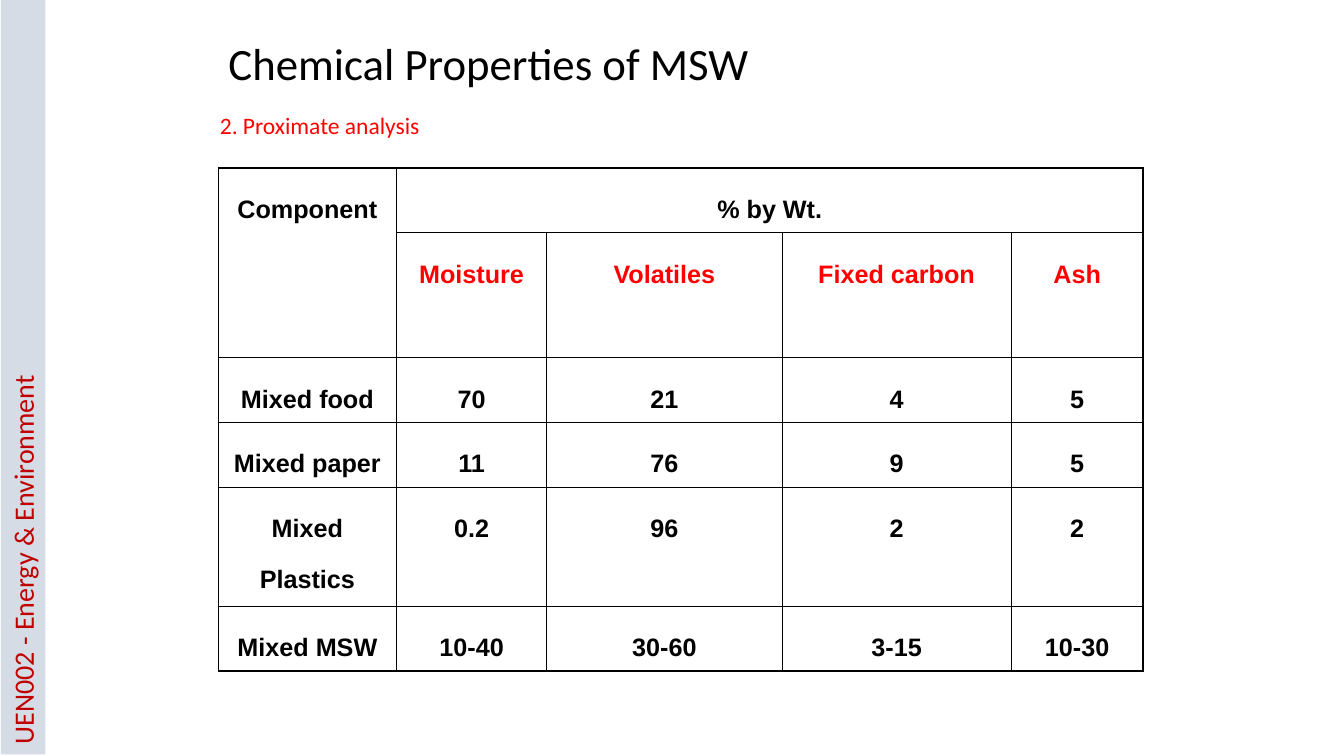
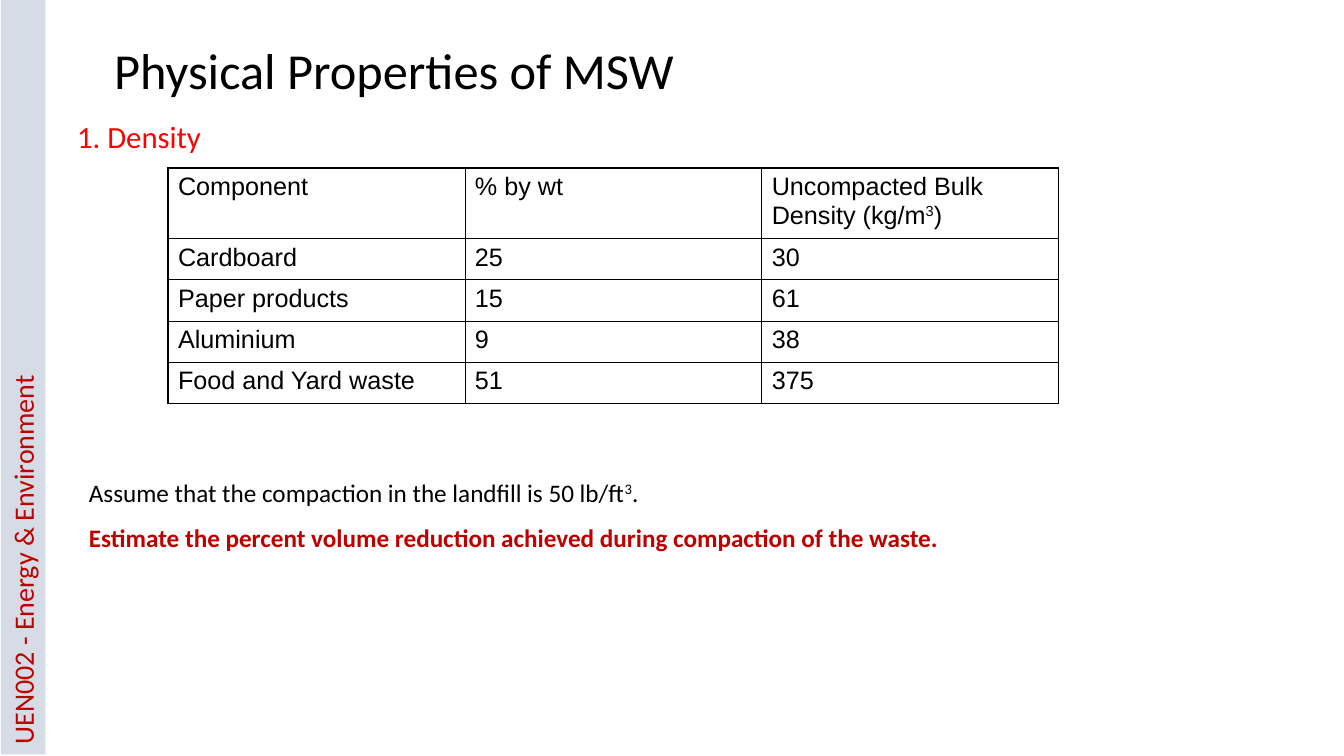
import lxml.etree
import pptx
import pptx.dml.color
import pptx.enum.shapes
import pptx.enum.text
import pptx.oxml.ns
import pptx.util

RGB = pptx.dml.color.RGBColor
ALIGN = pptx.enum.text.PP_ALIGN
ANCHOR = pptx.enum.text.MSO_ANCHOR

BLACK = RGB(0x00, 0x00, 0x00)
RED = RGB(0xFF, 0x00, 0x00)
DARK_RED = RGB(0xC0, 0x00, 0x00)
BAND_BLUE = RGB(0xD6, 0xDC, 0xE5)

WIDTH, HEIGHT = 13.34, 7.5
COLS, ROWS = 80, 45  # grid the slide is divided into
OUTER, INNER = 1.08, 0.45  # table rules, points


def write(p, text, size=18, font="Calibri", color=BLACK, bold=False,
          align=ALIGN.LEFT, line=None, before=0):
    """Fill a paragraph; text between a pair of ^ marks is superscript."""
    p.alignment = align
    p.space_before = pptx.util.Pt(before)
    if line:
        p.line_spacing = line
    for i, part in enumerate(text.split("^")):
        r = p.add_run()
        r.text = part
        r.font.size = pptx.util.Pt(size)
        r.font.name = font
        r.font.bold = bold
        r.font.color.rgb = color
        if i % 2:
            r.font._element.set("baseline", "30000")


def rule(cell, side, width):
    """Draw one border of a table cell; side is L, R, T or B."""
    qn = pptx.oxml.ns.qn
    ln = lxml.etree.SubElement(cell._tc.get_or_add_tcPr(), qn(f"a:ln{side}"),
                               w=str(pptx.util.Pt(width)))
    fill = lxml.etree.SubElement(ln, qn("a:solidFill"))
    lxml.etree.SubElement(fill, qn("a:srgbClr"), val=str(BLACK))


class Deck:
    """Holds the shared style and the current slide."""

    def __init__(self):
        self.prs = pptx.Presentation()
        self.prs.slide_width = pptx.util.Inches(WIDTH)
        self.prs.slide_height = pptx.util.Inches(HEIGHT)
        self.slide = None

    def x(self, cols):
        return pptx.util.Inches(cols * WIDTH / COLS)

    def y(self, rows):
        return pptx.util.Inches(rows * HEIGHT / ROWS)

    def box(self, left, top, width, height):
        return self.x(left), self.y(top), self.x(width), self.y(height)

    def new_slide(self, title, at, size):
        self.slide = self.prs.slides.add_slide(self.prs.slide_layouts[5])
        sp = self.slide.shapes.title
        sp.left, sp.top, sp.width, sp.height = self.box(*at)
        tf = sp.text_frame
        tf.auto_size = pptx.enum.text.MSO_AUTO_SIZE.NONE
        tf.vertical_anchor = ANCHOR.MIDDLE
        write(tf.paragraphs[0], title, size=size, line=0.9)
        self.band("UEN002 - Energy & Environment")

    def band(self, text, center=(1.38, 22.4), thick=2.64):
        """Course name running up the left edge."""
        cx, cy = center
        sp = self.slide.shapes.add_shape(
            pptx.enum.shapes.MSO_SHAPE.RECTANGLE,
            *self.box(cx - ROWS / 2, cy - thick / 2, ROWS, thick))
        sp.rotation = 270
        sp.shadow.inherit = False
        sp.fill.solid()
        sp.fill.fore_color.rgb = BAND_BLUE
        sp.line.fill.background()
        tf = sp.text_frame
        tf.word_wrap = True
        tf.vertical_anchor = ANCHOR.TOP
        write(tf.paragraphs[0], text, size=20, color=DARK_RED)

    def text(self, at, *lines, **style):
        """Each line is a pair of its text and its own format."""
        tf = self.slide.shapes.add_textbox(*self.box(*at)).text_frame
        tf.word_wrap = True
        for i, (text, own) in enumerate(lines):
            p = tf.add_paragraph() if i else tf.paragraphs[0]
            write(p, text, **{**style, **own})

    def table(self, at, cols, rows, data, merges=(), red_row=None, **style):
        """None in data marks a cell covered by a merge."""
        left, top = at
        table = self.slide.shapes.add_table(
            len(rows), len(cols),
            *self.box(left, top, sum(cols), sum(rows))).table
        table.first_row = table.horz_banding = False
        for column, width in zip(table.columns, cols):
            column.width = self.x(width)
        for row, height in zip(table.rows, rows):
            row.height = self.y(height)
        for first, last in merges:
            table.cell(*first).merge(table.cell(*last))

        for r, values in enumerate(data):
            for c, text in enumerate(values):
                if text is None:
                    continue
                cell = table.cell(r, c)
                edges = {"L": c == 0,
                         "R": c + cell.span_width == len(cols),
                         "T": r == 0,
                         "B": r + cell.span_height == len(rows)}
                for side, outer in edges.items():
                    rule(cell, side, OUTER if outer else INNER)
                cell.fill.background()
                write(cell.text_frame.paragraphs[0], text, font="Arial",
                      color=RED if r == red_row else BLACK, before=4.5,
                      **style)


def main():
    deck = Deck()

    # Proximate analysis
    deck.new_slide("Chemical Properties of MSW", (13, 1.8, 54, 4.2), 32)
    deck.text((12.5, 5.5, 26.5, 3), ("2. Proximate analysis", {}),
              size=16.8, color=RED, line=1.5, before=10, align=ALIGN.JUSTIFY)
    deck.table(
        (13, 10),
        cols=[10.6, 8.95, 14, 13.65, 7.85],
        rows=[3.85, 7.45, 3.85, 3.85, 7.1, 3.85],
        data=[
            ["Component", "% by Wt.", None, None, None],
            [None, "Moisture", "Volatiles", "Fixed carbon", "Ash"],
            ["Mixed food", "70", "21", "4", "5"],
            ["Mixed paper", "11", "76", "9", "5"],
            ["Mixed Plastics", "0.2", "96", "2", "2"],
            ["Mixed MSW", "10-40", "30-60", "3-15", "10-30"],
        ],
        merges=[((0, 0), (1, 0)), ((0, 1), (0, 4))],
        red_row=1, bold=True, align=ALIGN.CENTER, line=1.8)

    # Density
    deck.new_slide("Physical Properties of MSW", (6.2, 1.55, 63.6, 5.6), 36)
    deck.text((4, 7.15, 68, 18), ("1. Density", {}),
              size=22, color=RED, line=0.8, before=10, align=ALIGN.JUSTIFY)
    deck.table(
        (10, 10),
        cols=[17.67] * 3,
        rows=[4.2] + [2.45] * 4,
        data=[
            ["Component", "% by wt", "Uncompacted Bulk Density (kg/m^3^)"],
            ["Cardboard", "25", "30"],
            ["Paper products", "15", "61"],
            ["Aluminium", "9", "38"],
            ["Food and Yard waste", "51", "375"],
        ])
    deck.text(
        (4.7, 27.2, 63.6, 6),
        ("Assume that the compaction in the landfill is 50 lb/ft^3^.", {}),
        ("Estimate the percent volume reduction achieved during compaction "
         "of the waste.", {"color": DARK_RED, "bold": True}),
        line=1.5)

    deck.prs.save("out.pptx")


if __name__ == "__main__":
    main()
